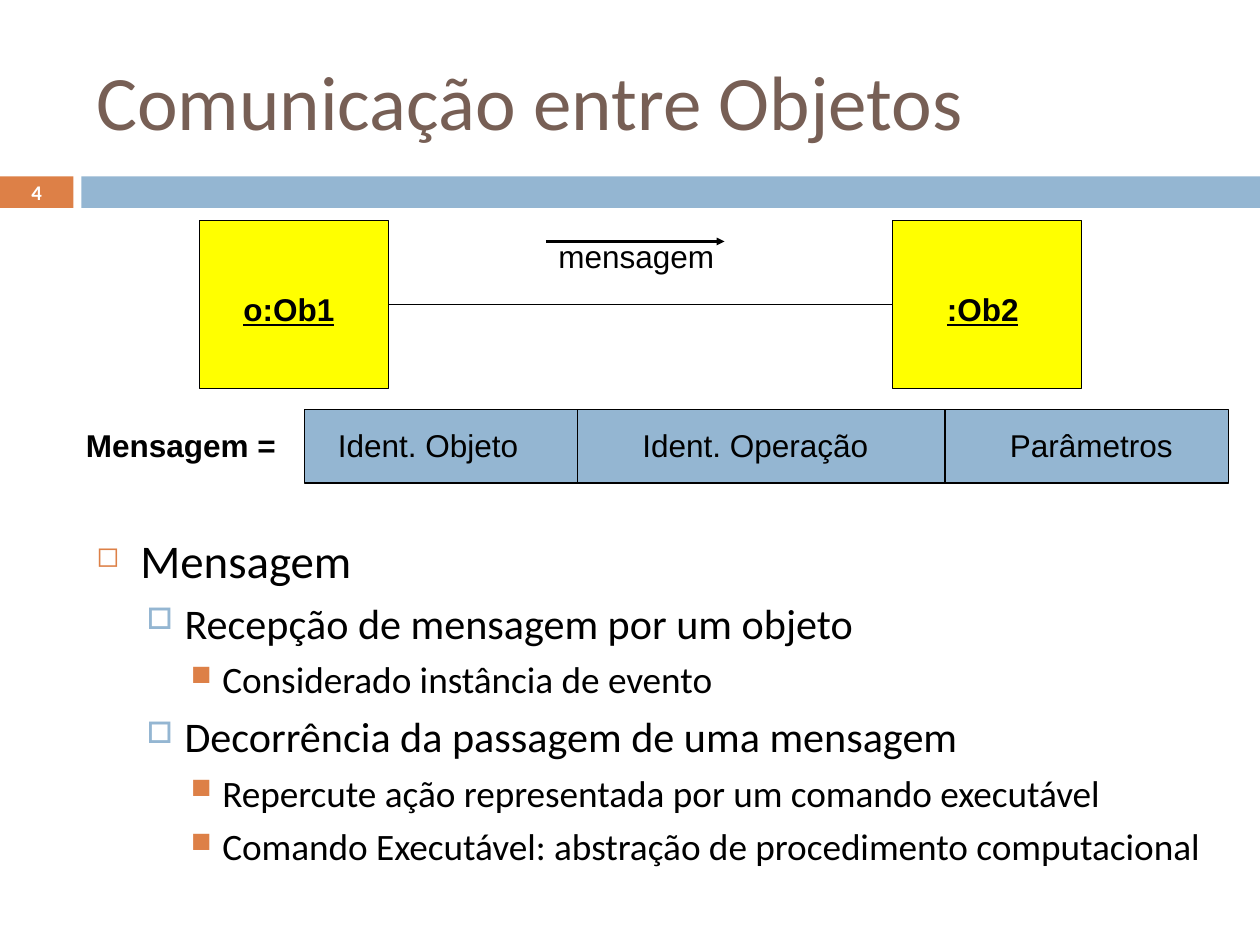
from lxml import etree
from pptx import Presentation
from pptx.dml.color import RGBColor
from pptx.enum import shapes, text
from pptx.oxml.ns import qn
from pptx.util import Pt

BLACK, WHITE, YELLOW = "000000", "FFFFFF", "FFFF00"
BLUE, ORANGE, BROWN = "94B6D2", "DD8047", "775F55"

# Per outline level: indent, hanging, space before, bullet, bullet colour, bullet %, size
LEVELS = [
    (25.2, 25.2, 7, "◻", ORANGE, 60, 26.8),
    (50.4, 21.6, 5.5, "□", BLUE, 70, 24.1),
    (72, 18, 5, "■", ORANGE, 75, 21.3),
]
OUTLINE = [
    (0, "Mensagem"),
    (1, "Recepção de mensagem por um objeto"),
    (2, "Considerado instância de evento"),
    (1, "Decorrência da passagem de uma mensagem"),
    (2, "Repercute ação representada por um comando executável"),
    (2, "Comando Executável: abstração de procedimento computacional"),
]


def color(value):
    return RGBColor.from_string(value)


def add_rectangle(page, left, top, width, height, fill, outlined=False):
    box = page.shapes.add_shape(shapes.MSO_SHAPE.RECTANGLE, Pt(left), Pt(top),
                                Pt(width), Pt(height))
    box.shadow.inherit = False
    box.fill.solid()
    box.fill.fore_color.rgb = color(fill)
    if outlined:
        box.line.color.rgb = color(BLACK)
        box.line.width = Pt(0.75)
    else:
        box.line.fill.background()
    return box


def add_line(page, start, end, width=0.75, arrow=False):
    line = page.shapes.add_connector(shapes.MSO_CONNECTOR.STRAIGHT,
                                     *(Pt(value) for value in (*start, *end)))
    line.line.color.rgb = color(BLACK)
    line.line.width = Pt(width)
    if arrow:
        etree.SubElement(line.line._get_or_add_ln(), qn("a:tailEnd"),
                         type="triangle", w="sm", len="sm")
    etree.SubElement(line._element.spPr, qn("a:effectLst"))
    return line


def add_frame(page, left, top, width, height, wrap=True, middle=False):
    box = page.shapes.add_textbox(Pt(left), Pt(top), Pt(width), Pt(height))
    frame = box.text_frame
    frame.word_wrap = wrap
    frame.vertical_anchor = text.MSO_ANCHOR.MIDDLE if middle else text.MSO_ANCHOR.TOP
    return frame


def add_span(para, words, size, font="Calibri", ink=BLACK, bold=False, underline=False):
    span = para.add_run()
    span.text = words
    span.font.size = Pt(size)
    span.font.name = font
    span.font.color.rgb = color(ink)
    span.font.bold = bold
    span.font.underline = underline


def add_label(page, words, left, top, width, **style):
    frame = add_frame(page, left, top, width, 28.8, wrap=False)
    frame.auto_size = text.MSO_AUTO_SIZE.SHAPE_TO_FIT_TEXT
    add_span(frame.paragraphs[0], words, 18, "Arial", **style)


def set_bullet(para, indent, hanging, char, ink, percent):
    properties = para._p.get_or_add_pPr()
    properties.set("marL", str(Pt(indent)))
    properties.set("indent", str(-Pt(hanging)))
    tint = etree.SubElement(properties, qn("a:buClr"))
    etree.SubElement(tint, qn("a:srgbClr"), val=ink)
    etree.SubElement(properties, qn("a:buSzPct"), val=str(percent * 1000))
    etree.SubElement(properties, qn("a:buChar"), char=char)


def add_header(page):
    add_rectangle(page, 0, 100.8, 42, 18, ORANGE)
    add_rectangle(page, 46.5, 100.8, 673.5, 18, BLUE)
    title = add_frame(page, 48, 18, 642, 78, middle=True)
    add_span(title.paragraphs[0], "Comunicação entre Objetos", 44, ink=BROWN)
    number = add_frame(page, 0, 100, 42, 19.5, middle=True)
    number.paragraphs[0].alignment = text.PP_ALIGN.CENTER
    add_span(number.paragraphs[0], "4", 11.9, ink=WHITE, bold=True)


def add_outline(page):
    frame = add_frame(page, 48, 300, 654, 204.5)
    for index, (level, words) in enumerate(OUTLINE):
        indent, hanging, before, char, ink, percent, size = LEVELS[level]
        para = frame.add_paragraph() if index else frame.paragraphs[0]
        para.level = level
        para.space_before = Pt(before)
        set_bullet(para, indent, hanging, char, ink, percent)
        add_span(para, words, size)


def add_objects(page):
    sender, receiver = (add_rectangle(page, left, 126, 108, 96, YELLOW, outlined=True)
                        for left in (114, 510))
    link = add_line(page, (222, 174), (510, 174))
    link.begin_connect(sender, 3)
    link.end_connect(receiver, 1)
    add_label(page, "o:Ob1", 132, 162, 68, bold=True, underline=True)
    add_label(page, ":Ob2", 534, 162, 57, bold=True, underline=True)
    add_label(page, "mensagem", 312, 132, 105)
    add_line(page, (312, 138), (414, 138), width=2.25, arrow=True)


def add_message_format(page):
    top, height = 234, 42
    add_rectangle(page, 174, top, 528, height, BLUE, outlined=True)
    for x in (330, 540):
        add_line(page, (x, top), (x, top + height))
    add_label(page, "Mensagem =", 42, 240, 125, bold=True)
    for words, left, width in (("Ident. Objeto", 186, 119),
                               ("Ident. Operação", 360, 145),
                               ("Parâmetros", 570, 109)):
        add_label(page, words, left, 240, width)


def main():
    deck = Presentation()
    deck.slide_width, deck.slide_height = Pt(720), Pt(540)
    page = deck.slides.add_slide(deck.slide_layouts[6])
    add_header(page)
    add_outline(page)
    add_objects(page)
    add_message_format(page)
    deck.save("out.pptx")


if __name__ == "__main__":
    main()
